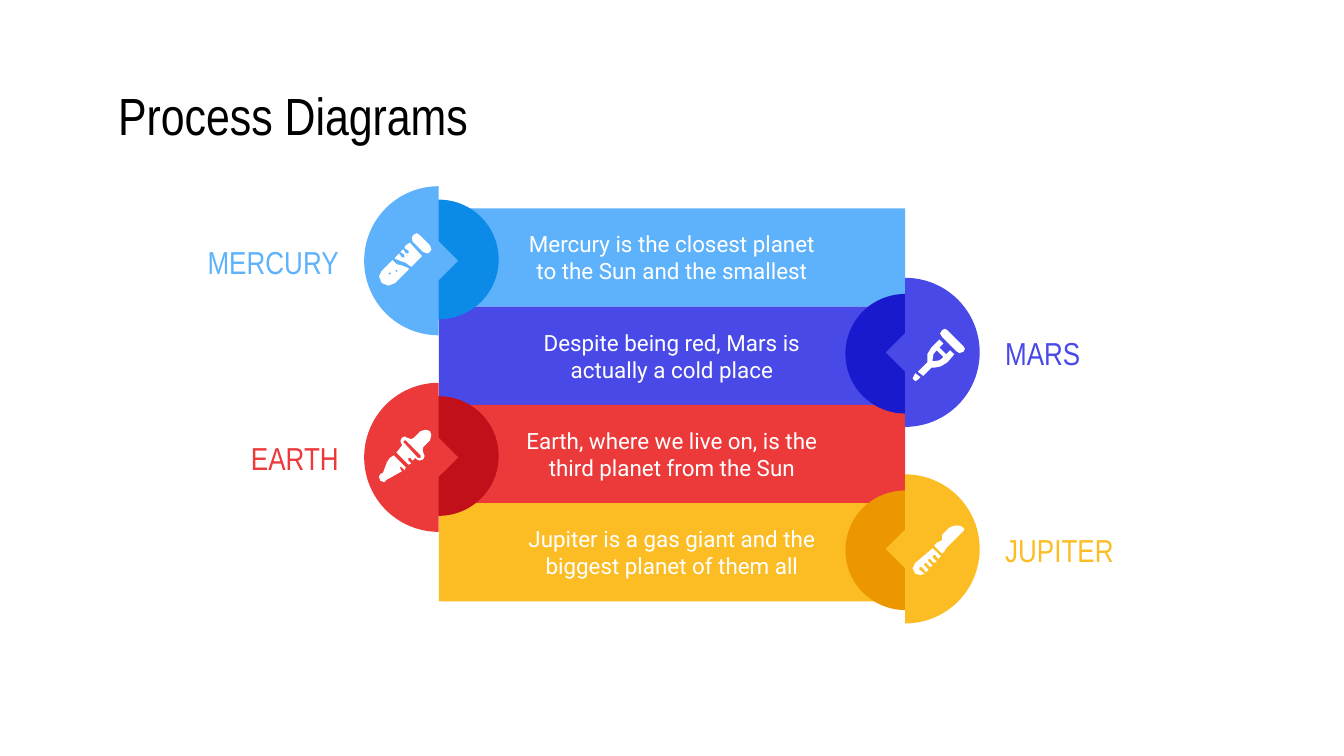
from dataclasses import dataclass
from math import cos, pi, sin

from pptx import Presentation
from pptx import util as u
from pptx.dml.color import RGBColor
from pptx.enum import shapes, text

SLIDE_WIDTH = u.Inches(10)
SLIDE_HEIGHT = u.Emu(SLIDE_WIDTH * 9 // 16)
CELL = SLIDE_WIDTH / 1000
ICON_SIZE = 39


@dataclass(frozen=True)
class Theme:
    """Colours, fonts and type sizes of the deck."""
    ink: str = "000000"
    white: str = "FFFFFF"
    blue: tuple = ("5EB2FC", "0C8AE8")
    violet: tuple = ("4949E7", "1919CE")
    red: tuple = ("EC3A3B", "C11019")
    amber: tuple = ("FCBD24", "ED9700")
    heading: str = "Arial Narrow"
    body: str = "Roboto"
    title_size: int = 28
    label_size: int = 17
    body_size: int = 12


@dataclass(frozen=True)
class Box:
    """A region measured in grid cells, a thousand to the slide's width."""
    left: float
    top: float
    width: float
    height: float

    def emu(self):
        """Return left, top, width and height as slide lengths."""
        return [u.Emu(round(cells * CELL))
                for cells in (self.left, self.top, self.width, self.height)]


@dataclass(frozen=True)
class Step:
    """One planet of the process."""
    name: str
    detail: str
    colours: tuple
    icon: tuple


THEME = Theme()

TEST_TUBE = (
    ("28,0 26,1 24.5,3 25,6 33,14 36,15 38,14 39,12 38,9 30,1",),
    ("10,20 2,28 0,32 2,37 7,39 12,37 22,27 22,26 17,24 13,23",
     "13,27 14,28 13,29 12,28", "8,29 9,30 8,31 7,30"),
    ("23,7 20,9 19,11 22,13 22,15 20,15 18,12 16,14 19,16 19,18 17,18 15,15 "
     "12,18 12,19 17,21 20,22 24,25 32,17",),
)
SCREW = (
    ("24,1 22,2 20.5,4.5 22,7 33,18 35,19 38,18 39,16 38,14 26,2",),
    ("2,34 1,36 0,38 1,39 2,40 4,39 6,37",),
    ("20,9 14,15 11,20 11,26 4,33 8,36 14,30 16,30 21,29 26,26 31,20 28,17 "
     "25,20 20,15 23,12",
     "18,17 23,22 22,23 20,24.5 17,25 15,25 15,24 15.5,20"),
)
DROPPER = (
    ("11,19 8,21 6,24 3,32 1,33 0,35 1,38 4,39 6,37 8,36 15,32 17,31 16,29 "
     "15.5,28 16.5,27.5 19,30 20,28",),
    ("35,0 31,1 26,6 24,7 21,6 19,5 17,6 16,8.5 17,11 17,12 13,17 22,26 24,25 "
     "22,23 22,21 23.5,21 25,23 27,21 28,22 30,23 33,22 34,19.5 33,17 32.5,15 "
     "33,13 38,8 39,4 38,1",
     "19,8 20,8 31,19 31,21 29,21 18,9"),
)
BRUSH = (
    ("33,1 30,1.5 27,3 22,8 22,12 20,13 18,14 16,16 22,22 24,20 25,18 38,5 "
     "38.5,4 38,3 36,1.5",),
    ("15,18 2,29 0,33 2,37 6,38 9,37 5,34 5,32.5 6,32 7,32 10,36 12,34 9,31 "
     "8.5,30 9,29 10,29 13,32 15,31 12,28 11.5,27 12,26 13,26 16,29 18,28 "
     "15,25 15,24 16,23 17,23 19,26 21,24",),
)

STEPS = (
    Step("MERCURY", "Mercury is the closest planet to the Sun and the smallest",
         THEME.blue, TEST_TUBE),
    Step("MARS", "Despite being red, Mars is actually a cold place",
         THEME.violet, SCREW),
    Step("EARTH", "Earth, where we live on, is the third planet from the Sun",
         THEME.red, DROPPER),
    Step("JUPITER", "Jupiter is a gas giant and the biggest planet of them all",
         THEME.amber, BRUSH),
)


def paint(shape, colour):
    """Give a shape a flat fill with neither line nor shadow."""
    shape.shadow.inherit = False
    shape.fill.solid()
    shape.fill.fore_color.rgb = RGBColor.from_string(colour)
    shape.line.fill.background()


def write(shape, words, font, size, colour, align, side_inset=10):
    """Set one paragraph of text, centred vertically in its shape."""
    frame = shape.text_frame
    frame.text = words
    frame.word_wrap = True
    frame.vertical_anchor = text.MSO_ANCHOR.MIDDLE
    frame.margin_left = frame.margin_right = u.Emu(round(side_inset * CELL))
    frame.margin_top = frame.margin_bottom = u.Emu(round(10 * CELL))
    para = frame.paragraphs[0]
    para.alignment = align
    for span in para.runs:
        span.font.name = font
        span.font.size = u.Pt(size)
        span.font.color.rgb = RGBColor.from_string(colour)


def draw_outline(page, contours, colour):
    """Fill an outline; contours after the first cut holes in it."""
    scaled = [[(round(x * CELL), round(y * CELL)) for x, y in contour]
              for contour in contours]
    builder = page.shapes.build_freeform(*scaled[0][0], scale=1.0)
    builder.add_line_segments(scaled[0][1:], close=True)
    for hole in scaled[1:]:
        builder.move_to(*hole[0])
        builder.add_line_segments(hole[1:], close=True)
    paint(builder.convert_to_shape(), colour)


def draw_title(page, box):
    """Place the slide title."""
    write(page.shapes.add_textbox(*box.emu()), "Process Diagrams", THEME.heading,
          THEME.title_size, THEME.ink, text.PP_ALIGN.LEFT)


def draw_bar(page, box, step):
    """Place the coloured bar that describes a planet."""
    bar = page.shapes.add_shape(shapes.MSO_SHAPE.RECTANGLE, *box.emu())
    paint(bar, step.colours[0])
    write(bar, step.detail, THEME.body, THEME.body_size, THEME.white,
          text.PP_ALIGN.CENTER, side_inset=60)


def draw_icon(page, box, icon):
    """Place a white icon made of several outlines."""
    share = box.width / ICON_SIZE
    for part in icon:
        contours = [[(box.left + float(x) * share, box.top + float(y) * share)
                     for x, y in (point.split(",") for point in contour.split())]
                    for contour in part]
        draw_outline(page, contours, THEME.white)


def draw_badge(page, box, step, side):
    """Place disc, half disc, icon and name at the left (-1) or right (1) bar end."""
    light, dark = step.colours
    seam = box.left if side < 0 else box.left + box.width
    middle = box.top + box.height / 2 - 1.5 * side
    hub = middle - side
    disc = page.shapes.add_shape(shapes.MSO_SHAPE.OVAL,
                                 *Box(seam - 44.5, middle - 44.5, 89, 89).emu())
    paint(disc, dark)
    radius, notch, turns = 55.5, 14.5, 48
    angles = [pi * turn / turns - pi / 2 for turn in range(turns + 1)]
    half_disc = [(seam + side * radius * cos(angle), hub + radius * sin(angle))
                 for angle in angles]
    arrow = [(seam, hub + notch), (seam - side * notch, hub), (seam, hub - notch)]
    draw_outline(page, [half_disc + arrow], light)
    draw_icon(page, Box(seam + 25 * side - ICON_SIZE / 2, middle - ICON_SIZE / 2,
                        ICON_SIZE, ICON_SIZE), step.icon)
    width, gap = 131, 64.5
    left = seam + gap if side > 0 else seam - gap - width
    align = text.PP_ALIGN.LEFT if side > 0 else text.PP_ALIGN.RIGHT
    write(page.shapes.add_textbox(*Box(left, hub - 14, width, 29).emu()),
          step.name, THEME.heading, THEME.label_size, light, align)


def draw_process(page, box):
    """Stack the bars, then hang badges on alternate sides."""
    height = box.height / len(STEPS)
    rows = [Box(box.left, box.top + index * height, box.width, height)
            for index in range(len(STEPS))]
    for row, step in zip(rows, STEPS):
        draw_bar(page, row, step)
    for index, (row, step) in enumerate(zip(rows, STEPS)):
        draw_badge(page, row, step, 1 if index % 2 else -1)


def main():
    """Build the one-slide deck."""
    deck = Presentation()
    deck.slide_width, deck.slide_height = SLIDE_WIDTH, SLIDE_HEIGHT
    page = deck.slides.add_slide(deck.slide_layouts[6])
    draw_title(page, Box(78, 59, 845, 53))
    draw_process(page, Box(326.5, 155, 347, 292.5))
    deck.save("out.pptx")


if __name__ == "__main__":
    main()
